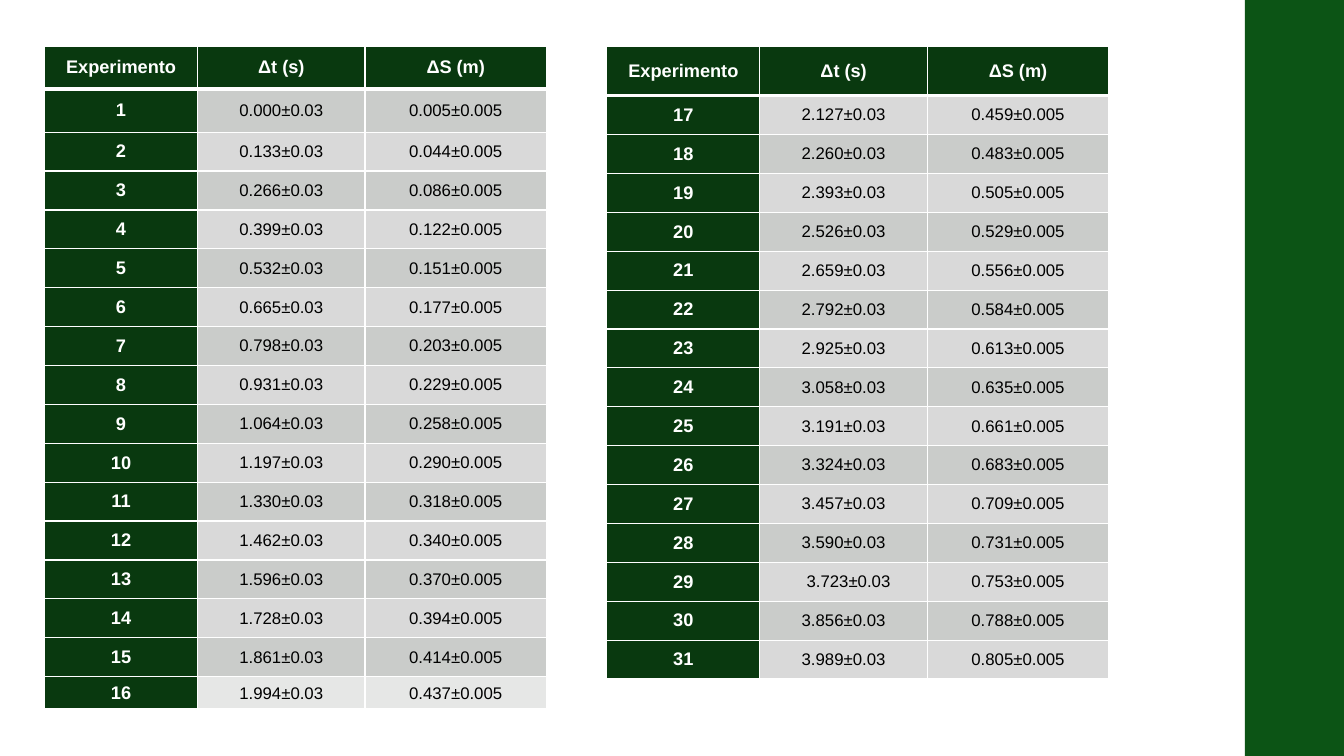
import dataclasses

import lxml.etree
import pptx
import pptx.dml.color
import pptx.enum.shapes
import pptx.enum.text
import pptx.oxml.ns
import pptx.util

Cm = pptx.util.Cm
Pt = pptx.util.Pt
Color = pptx.dml.color.RGBColor.from_string


@dataclasses.dataclass(frozen=True)
class Theme:
    font: str = "Arial"
    head: int = 13
    body: int = 12
    thin: int = 1
    thick: int = 3
    white: str = "FFFFFF"
    black: str = "000000"
    bar: str = "0C5415"
    green: str = "09390F"
    dark: str = "CACCCA"
    light: str = "D9D9D9"
    pale: str = "E6E7E6"


THEME = Theme()
HEADS = ("Experimento", "Δt (s)", "ΔS (m)")
WIDTHS = (3.86, 4.22, 4.57)
ROW = 0.98
TIMES = (
    "0.000 0.133 0.266 0.399 0.532 0.665 0.798 0.931 "
    "1.064 1.197 1.330 1.462 1.596 1.728 1.861 1.994 "
    "2.127 2.260 2.393 2.526 2.659 2.792 2.925 3.058 "
    "3.191 3.324 3.457 3.590 3.723 3.856 3.989"
).split()
PATHS = (
    "0.005 0.044 0.086 0.122 0.151 0.177 0.203 0.229 "
    "0.258 0.290 0.318 0.340 0.370 0.394 0.414 0.437 "
    "0.459 0.483 0.505 0.529 0.556 0.584 0.613 0.635 "
    "0.661 0.683 0.709 0.731 0.753 0.788 0.805"
).split()
DATA = [
    (str(num), f"{time}±0.03", f"{dist}±0.005")
    for num, (time, dist) in enumerate(zip(TIMES, PATHS), 1)
]


def edge(cell, top, base):
    props = cell._tc.get_or_add_tcPr()
    sides = (("lnL", THEME.thin), ("lnR", THEME.thin), ("lnT", top), ("lnB", base))
    for spot, (tag, width) in enumerate(sides):
        line = lxml.etree.Element(pptx.oxml.ns.qn(f"a:{tag}"), w=str(Pt(width)))
        fill = lxml.etree.SubElement(line, pptx.oxml.ns.qn("a:solidFill"))
        lxml.etree.SubElement(fill, pptx.oxml.ns.qn("a:srgbClr"), val=THEME.white)
        props.insert(spot, line)


def write(cell, text, fill, strong):
    cell.fill.solid()
    cell.fill.fore_color.rgb = Color(fill)
    cell.vertical_anchor = pptx.enum.text.MSO_ANCHOR.MIDDLE
    cell.margin_left = cell.margin_right = Cm(0.18)
    cell.margin_top = cell.margin_bottom = 0
    cell.text = text
    para = cell.text_frame.paragraphs[0]
    para.alignment = pptx.enum.text.PP_ALIGN.CENTER
    para.font.name = THEME.font
    para.font.size = Pt(THEME.head if strong else THEME.body)
    para.font.bold = strong
    para.font.color.rgb = Color(THEME.white if strong else THEME.black)


def add_grid(slide, left, top, rows, highs, bands, thick, last=None):
    frame = slide.shapes.add_table(
        len(rows) + 1, len(HEADS), Cm(left), Cm(top), Cm(sum(WIDTHS)), Cm(sum(highs))
    )
    grid = frame.table
    grid.horz_banding = False
    for col, width in zip(grid.columns, WIDTHS):
        col.width = Cm(width)
    for row, high in zip(grid.rows, highs):
        row.height = Cm(high)
    for y, row in enumerate([HEADS, *rows]):
        final = last is not None and y == len(rows)
        shade = last if final else bands[(y - 1) % 2]
        for x, text in enumerate(row):
            strong = y == 0 or x == 0
            cell = grid.cell(y, x)
            write(cell, text, THEME.green if strong else shade, strong)
            edge(
                cell,
                THEME.thick if y == 1 and x in thick else THEME.thin,
                THEME.thick if y == 0 or final else THEME.thin,
            )
    return grid


def add_bar(slide, left, top, width, height):
    bar = slide.shapes.add_shape(
        pptx.enum.shapes.MSO_SHAPE.RECTANGLE, Cm(left), Cm(top), Cm(width), Cm(height)
    )
    bar.shadow.inherit = False
    bar.fill.solid()
    bar.fill.fore_color.rgb = Color(THEME.bar)
    bar.line.fill.background()


def main():
    deck = pptx.Presentation()
    deck.slide_width, deck.slide_height = Cm(33.87), Cm(19.05)
    slide = deck.slides.add_slide(deck.slide_layouts[6])
    add_bar(slide, 31.37, 0, 2.5, 19.05)
    late = add_grid(
        slide, 15.29, 1.17, DATA[16:], [1.24] + [ROW] * 15,
        (THEME.light, THEME.dark), (1,),
    )
    late.cell(13, 1).margin_left = Cm(0.43)
    add_grid(
        slide, 1.12, 1.17, DATA[:16], [1.07, 1.09] + [ROW] * 14 + [0.84],
        (THEME.dark, THEME.light), (0, 1), THEME.pale,
    )
    deck.save("out.pptx")


if __name__ == "__main__":
    main()
